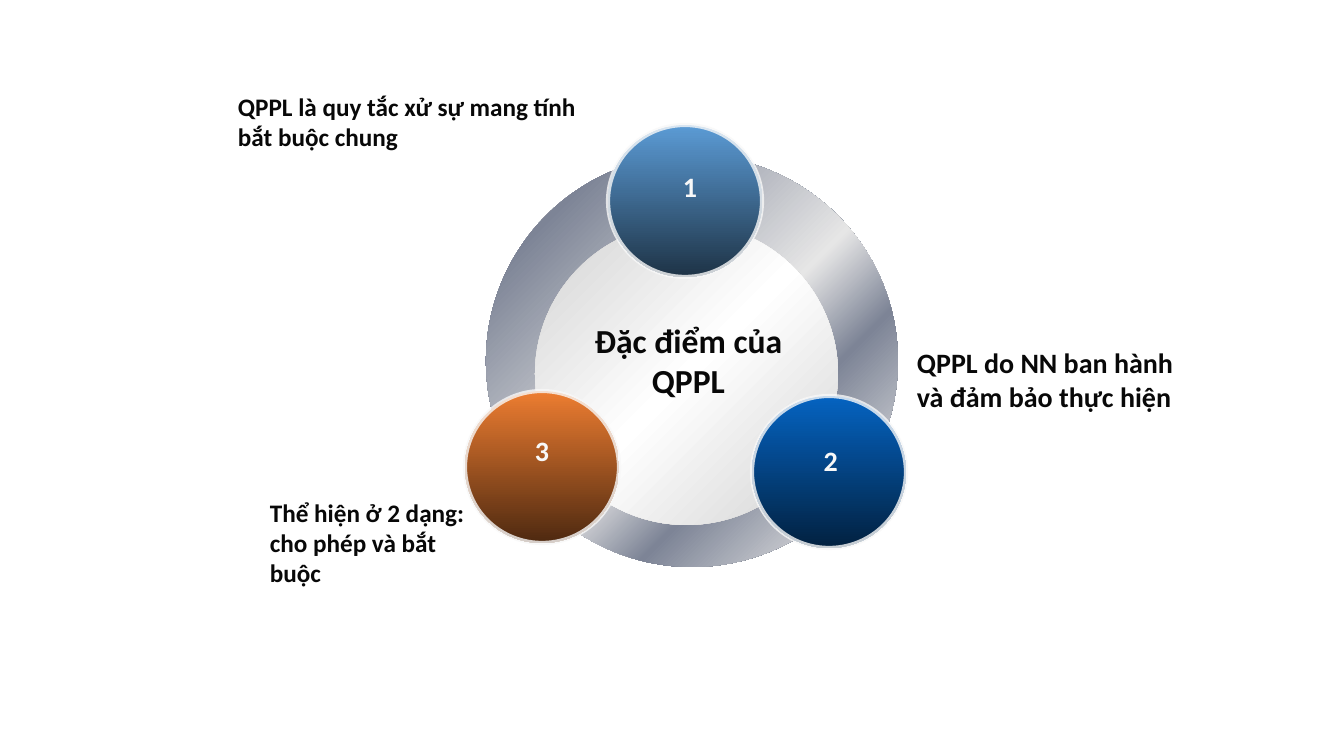
from lxml import etree
from pptx import Presentation
from pptx import util as u
from pptx.dml.color import RGBColor
from pptx.enum import shapes, text
from pptx.oxml import ns

PX = 914400 / 100.8  # EMU in one px
FONT = "Calibri"
WHITE = RGBColor(0xFF, 0xFF, 0xFF)
INK = RGBColor(0x08, 0x08, 0x08)
PALE = RGBColor(0xF8, 0xF8, 0xF8)
SILVER = RGBColor(0xE6, 0xE6, 0xE6)
STEEL = RGBColor(0x7D, 0x84, 0x96)
GREY = RGBColor(0xD1, 0xD1, 0xD1)
BLUE, BLUE_DARK = RGBColor(0x5B, 0x9B, 0xD5), RGBColor(0x1E, 0x33, 0x46)
ORANGE, ORANGE_DARK = RGBColor(0xED, 0x7D, 0x31), RGBColor(0x4E, 0x29, 0x10)
NAVY, NAVY_DARK = RGBColor(0x05, 0x63, 0xC1), RGBColor(0x02, 0x21, 0x40)

BALL_W, BALL_H = 154, 152


def emu(*lengths):
    return [round(n * PX) for n in lengths]


def add_circle(s, box, stops, angle):
    """Ellipse with gradient stops (percent, colour); angle runs clockwise."""
    sp = s.shapes.add_shape(shapes.MSO_SHAPE.OVAL, *emu(*box))
    sp.shadow.inherit = False
    sp.line.fill.background()
    sp.fill.gradient()
    sp.fill.gradient_angle = 360 - angle
    gs_list = sp._element.spPr.find(".//" + ns.qn("a:gsLst"))
    for gs in list(gs_list):
        gs_list.remove(gs)
    for percent, colour in stops:
        gs = etree.SubElement(gs_list, ns.qn("a:gs"), pos=str(percent * 1000))
        etree.SubElement(gs, ns.qn("a:srgbClr"), val=str(colour))
    return sp


def add_label(s, box, words, size, colour=INK, align=text.PP_ALIGN.LEFT):
    tf = s.shapes.add_textbox(*emu(*box)).text_frame
    tf.word_wrap = True
    tf.auto_size = text.MSO_AUTO_SIZE.SHAPE_TO_FIT_TEXT
    tf.text = words
    p = tf.paragraphs[0]
    p.alignment = align
    font = p.runs[0].font
    font.name, font.size, font.bold = FONT, u.Pt(size), True
    font.color.rgb = colour


def add_ball(s, left, top, colours, number, number_box):
    sp = add_circle(s, (left, top, BALL_W, BALL_H), zip((0, 100), colours), 90)
    sp.line.color.rgb = PALE
    sp.line.width = u.Pt(3)
    line_colour = sp.line._ln.find(".//" + ns.qn("a:srgbClr"))
    etree.SubElement(line_colour, ns.qn("a:alpha"), val="80000")
    add_label(s, number_box, number, 20, PALE, text.PP_ALIGN.CENTER)


def main():
    prs = Presentation()
    prs.slide_width, prs.slide_height = emu(1344, 756)
    s = prs.slides.add_slide(prs.slide_layouts[6])

    # Ring and centre
    add_circle(s, (486, 155, 412, 412),
               [(0, SILVER), (15, STEEL), (53, SILVER),
                (68, STEEL), (93, SILVER), (100, WHITE)], 45)
    add_circle(s, (535, 223, 303, 302),
               [(0, GREY), (50, WHITE), (100, GREY)], 45)
    add_label(s, (554, 315, 269, 92), "Đặc điểm của QPPL", 24,
              align=text.PP_ALIGN.CENTER)

    # Descriptions
    add_label(s, (228, 86, 390, 72),
              "QPPL là quy tắc xử sự mang tính bắt buộc chung", 18)
    add_label(s, (260, 492, 240, 102),
              "Thể hiện ở 2 dạng: cho phép và bắt buộc", 18)
    add_label(s, (907, 341, 285, 78),
              "QPPL do NN ban hành và đảm bảo thực hiện", 20)

    # Numbered balls
    add_ball(s, 608, 125, (BLUE, BLUE_DARK), " 1", (607, 165, 160, 44))
    add_ball(s, 465, 391, (ORANGE, ORANGE_DARK), "3", (462, 429, 160, 44))
    add_ball(s, 752, 396, (NAVY, NAVY_DARK), " 2", (756, 439, 143, 44))

    prs.save("out.pptx")


if __name__ == "__main__":
    main()
